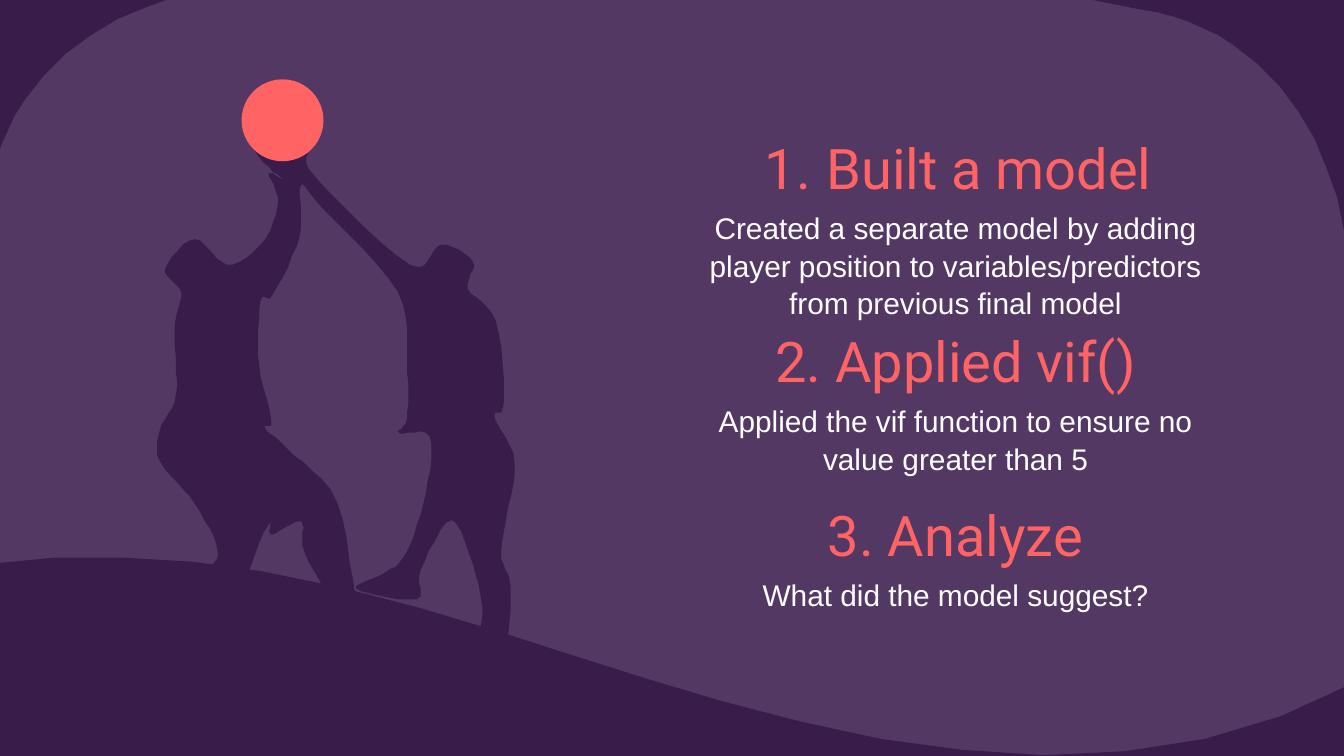
import pptx
import pptx.dml.color
import pptx.enum.shapes
import pptx.enum.text
import pptx.oxml
import pptx.oxml.ns
import pptx.util

Pt = pptx.util.Pt
DARK, MID, CORAL, WHITE = "3A1C4B", "543864", "FF6363", "FFFFFF"
UNIT = Pt(0.72)  # outline points are counted in hundredths of an inch

TITLE = {"name": "Roboto", "size": Pt(30), "color": CORAL}
BODY = {"name": "Arial", "size": Pt(16), "color": WHITE}
FRAME = {"word_wrap": True, "auto_size": pptx.enum.text.MSO_AUTO_SIZE.NONE}
FRAME |= {f"margin_{side}": Pt(7.2) for side in ("left", "right", "top", "bottom")}
TOP = pptx.enum.text.MSO_ANCHOR.TOP
BOTTOM = pptx.enum.text.MSO_ANCHOR.BOTTOM

# Title top in points, title, text
STEPS = [
    (64.8, "Built a model", "Created a separate model by adding player position "
     "to variables/predictors from previous final model"),
    (168.3, "2. Applied vif()",
     "Applied the vif function to ensure no value greater than 5"),
    (261.4, "3. Analyze", "What did the model suggest?"),
]

# Each step holds one line end, or two curve handles and a curve end
HILL = [
    (1114, 158), (1003, 158), (1044, 226, 1088, 293, 1088, 365),
    (1088, 460, 1020, 522, 896, 550), (779, 576, 653, 555, 538, 522),
    (423, 490, 313, 446, 194, 425), (94, 408, -17, 409, -107, 445),
    (-107, 571), (1114, 571),
]
CORNER = [
    (191, -15), (-25, -15), (-25, 179), (-15, 179),
    (-8, 144), (-4, 120, 4, 96, 18, 75), (44, 36, 87, 10, 132, -3),
]

# Main turning points, joined by a smooth line
PLAYERS = [
    # left player
    (211, 59), (182, 88), (193, 117), (211, 134), (200, 129), (207, 151),
    (195, 181), (169, 197), (145, 178), (123, 200), (135, 218), (130, 242),
    (131, 293), (119, 320), (119, 343), (145, 375), (162, 410), (153, 430),
    (147, 478), (160, 515), (178, 516), (165, 492), (190, 412), (201, 389),
    (202, 398), (224, 388), (227, 412), (252, 460), (244, 482), (300, 494),
    (269, 459), (251, 374), (214, 334), (197, 318), (202, 313), (193, 272),
    (194, 224), (203, 219), (223, 176), (224, 138),
    # right player
    (239, 154), (296, 217), (303, 270), (303, 311), (297, 322), (320, 325),
    (317, 367), (302, 412), (285, 427), (265, 438), (310, 446), (313, 424),
    (336, 387), (354, 428), (358, 465), (341, 512), (373, 492), (380, 436),
    (373, 410), (383, 345), (368, 311), (375, 300), (369, 239), (348, 215),
    (352, 195), (328, 182), (305, 197), (235, 132), (230, 112), (240, 88),
]


def tint(code):
    return pptx.dml.color.RGBColor.from_string(code)


def paint(shape, code):
    shape.fill.solid()
    shape.fill.fore_color.rgb = tint(code)
    shape.line.fill.background()
    shape.shadow.inherit = False


def trace(steps, parts=6):
    """Turn lines and cubic curves into a list of points."""
    spots = [steps[0]]
    for step in steps[1:]:
        if len(step) == 2:
            spots.append(step)
            continue
        ends = (spots[-1], step[:2], step[2:4], step[4:])
        for n in range(1, parts + 1):
            t = n / parts
            loads = ((1 - t) ** 3, 3 * t * (1 - t) ** 2, 3 * t * t * (1 - t), t ** 3)
            spots.append(tuple(sum(w * e[axis] for w, e in zip(loads, ends))
                               for axis in (0, 1)))
    return spots


def smooth(spots):
    """Join a closed ring of points with curves through each of them."""
    size = len(spots)
    steps = [spots[0]]
    for n in range(size):
        a, b, c, d = (spots[(n + k) % size] for k in (-1, 0, 1, 2))
        steps.append((b[0] + (c[0] - a[0]) / 6, b[1] + (c[1] - a[1]) / 6,
                      c[0] - (d[0] - b[0]) / 6, c[1] - (d[1] - b[1]) / 6, *c))
    return steps


def turn(step):
    """Move a step of the left corner to the right corner."""
    return tuple(v for x, y in zip(step[::2], step[1::2]) for v in (992 - y, x + 15))


def draw(slide, steps, code):
    spots = trace(steps)
    pen = slide.shapes.build_freeform(*spots[0], scale=UNIT)
    pen.add_line_segments(spots[1:], close=True)
    paint(pen.convert_to_shape(), code)


def ball(slide, left, top, size):
    kind = pptx.enum.shapes.MSO_SHAPE.OVAL
    paint(slide.shapes.add_shape(kind, Pt(left), Pt(top), Pt(size), Pt(size)), CORAL)


def write(slide, text, top, high, style, anchor, gap=1.0):
    box = slide.shapes.add_textbox(Pt(360), Pt(top), Pt(303.8), Pt(high))
    frame = box.text_frame
    for key, value in (FRAME | {"vertical_anchor": anchor}).items():
        setattr(frame, key, value)
    para = frame.paragraphs[0]
    para.alignment = pptx.enum.text.PP_ALIGN.CENTER
    para.line_spacing = gap
    run = para.add_run()
    run.text = text
    for key, value in style.items():
        if key == "color":
            run.font.color.rgb = tint(value)
        else:
            setattr(run.font, key, value)
    return para


def count(para):
    """Number a paragraph with a hanging indent."""
    props = para._p.get_or_add_pPr()
    props.set("marL", str(Pt(36)))
    props.set("indent", str(Pt(-33)))
    space = pptx.oxml.ns.nsdecls("a")
    for mark in (f'<a:buClr {space}><a:srgbClr val="{CORAL}"/></a:buClr>',
                 f'<a:buFont {space} typeface="Roboto"/>',
                 f'<a:buAutoNum {space} type="arabicPeriod"/>'):
        props.append(pptx.oxml.parse_xml(mark))


def main():
    deck = pptx.Presentation()
    deck.slide_width, deck.slide_height = Pt(720), Pt(405)
    slide = deck.slides.add_slide(deck.slide_layouts[6])
    slide.background.fill.solid()
    slide.background.fill.fore_color.rgb = tint(MID)
    for steps in (HILL, CORNER, [turn(step) for step in CORNER]):
        draw(slide, steps, DARK)
    for top, title, text in STEPS:
        head = write(slide, title, top, 49.7, TITLE, BOTTOM)
        if not title[0].isdigit():
            count(head)
        write(slide, text, top + 39.4, 39.6, BODY, TOP, 1.05)
    draw(slide, smooth(PLAYERS), DARK)
    ball(slide, 129.4, 42.5, 43.9)
    deck.save("out.pptx")


if __name__ == "__main__":
    main()
